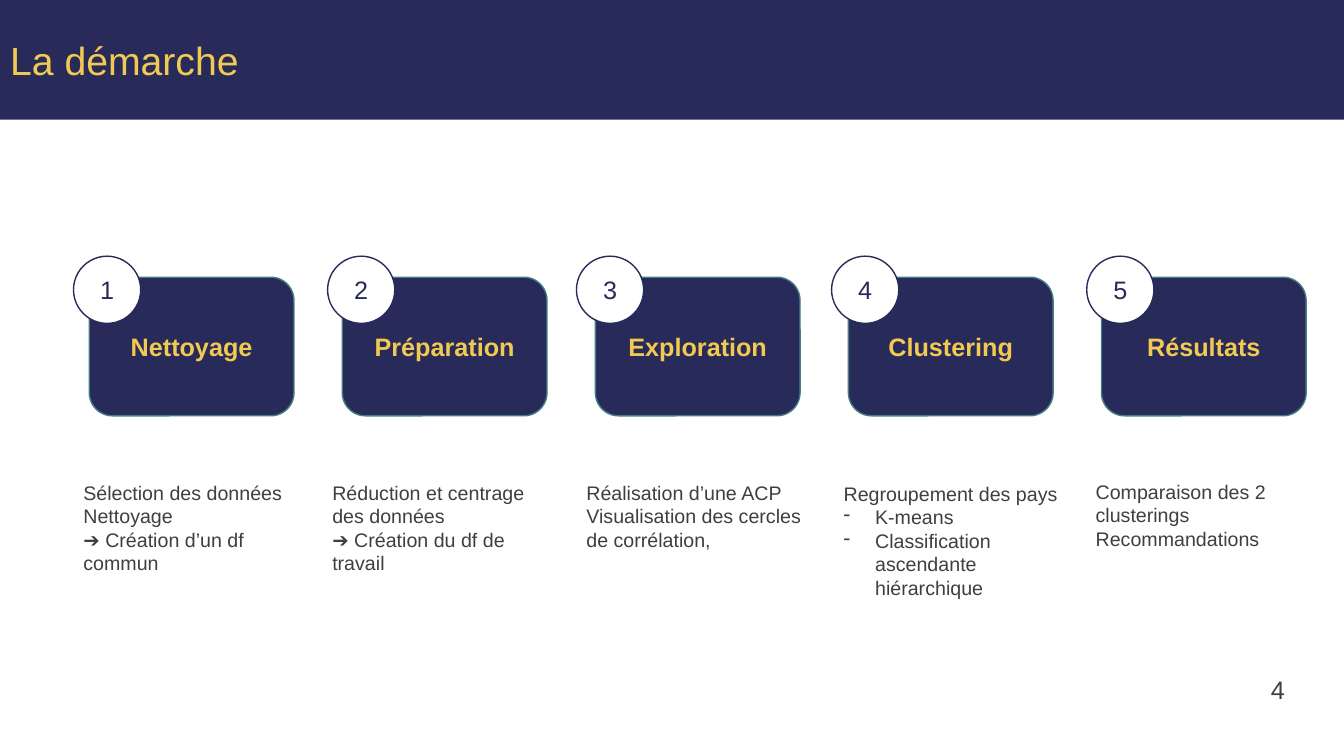
"""Build the slide "La démarche": five numbered steps with notes below."""
from lxml import etree
from pptx import Presentation
from pptx import util as u
from pptx.dml.color import RGBColor
from pptx.enum import shapes, text
from pptx.oxml.ns import qn

PX = 9525
NAVY, GOLD, TEAL, GREY, WHITE = "282B59", "F2CA52", "457E82", "3F3F3F", "FFFFFF"
STEPS = [
    ("Nettoyage", 70, 70, 453, 241,
     ["Sélection des données", "Nettoyage", "➔ Création d’un df commun"], []),
    ("Préparation", 312, 307, 453, 224,
     ["Réduction et centrage des données", "➔ Création du df de travail"], []),
    ("Exploration", 549, 549, 453, 224,
     ["Réalisation d’une ACP", "Visualisation des cercles de corrélation,"], []),
    ("Clustering", 792, 794, 454, 224, ["Regroupement des pays"],
     ["K-means", "Classification ascendante hiérarchique"]),
    ("Résultats", 1035, 1034, 452, 224,
     ["Comparaison des 2 clusterings", "Recommandations"], []),
]


def style(par, size, color, bold=False, align=text.PP_ALIGN.LEFT):
    par.alignment = align
    par.font.name = "Arial"
    par.font.size = u.Pt(size)
    par.font.bold = bold
    par.font.color.rgb = RGBColor.from_string(color)


def badge(kind, box, fill, line, label, color, bold):
    shape = slide.shapes.add_shape(kind, *[n * PX for n in box])
    shape.shadow.inherit = False
    shape.fill.solid()
    shape.fill.fore_color.rgb = RGBColor.from_string(fill)
    shape.line.color.rgb = RGBColor.from_string(line)
    shape.line.width = u.Pt(1)
    frame = shape.text_frame
    frame.vertical_anchor = text.MSO_ANCHOR.MIDDLE
    frame.text = label
    style(frame.paragraphs[0], 18, color, bold, text.PP_ALIGN.CENTER)


deck = Presentation()
deck.slide_width, deck.slide_height = 1280 * PX, 720 * PX
slide = deck.slides.add_slide(deck.slide_layouts[5])

title = slide.shapes.title
title.left, title.top, title.width, title.height = 0, 0, 1280 * PX, 114 * PX
title.fill.solid()
title.fill.fore_color.rgb = RGBColor.from_string(NAVY)
title.text_frame.text = "La démarche"
title.text_frame.auto_size = text.MSO_AUTO_SIZE.NONE
title.text_frame.vertical_anchor = text.MSO_ANCHOR.MIDDLE
style(title.text_frame.paragraphs[0], 28, GOLD)

for i, (name, dot, left, top, width, lines, items) in enumerate(STEPS):
    badge(shapes.MSO_SHAPE.ROUNDED_RECTANGLE, (85 + 241 * i, 264, 195, 132),
          NAVY, TEAL, name, GOLD, True)
    badge(shapes.MSO_SHAPE.OVAL, (dot, 244, 64, 64),
          WHITE, NAVY, str(i + 1), NAVY, False)
    note = slide.shapes.add_textbox(left * PX, top * PX, width * PX, 123 * PX)
    frame = note.text_frame
    frame.word_wrap = True
    frame.text = "\n".join(lines + items)
    for row, par in enumerate(frame.paragraphs):
        if row >= len(lines):
            props = par._p.get_or_add_pPr()
            props.set("marL", str(30 * PX))
            props.set("indent", str(-30 * PX))
            etree.SubElement(props, qn("a:buChar"), char="-")
        style(par, 14, GREY)

page = slide.shapes.add_textbox(1201 * PX, 637 * PX, 61 * PX, 68 * PX)
page.text_frame.word_wrap = True
page.text_frame.text = "4"
style(page.text_frame.paragraphs[0], 18, GREY)

deck.save("out.pptx")
